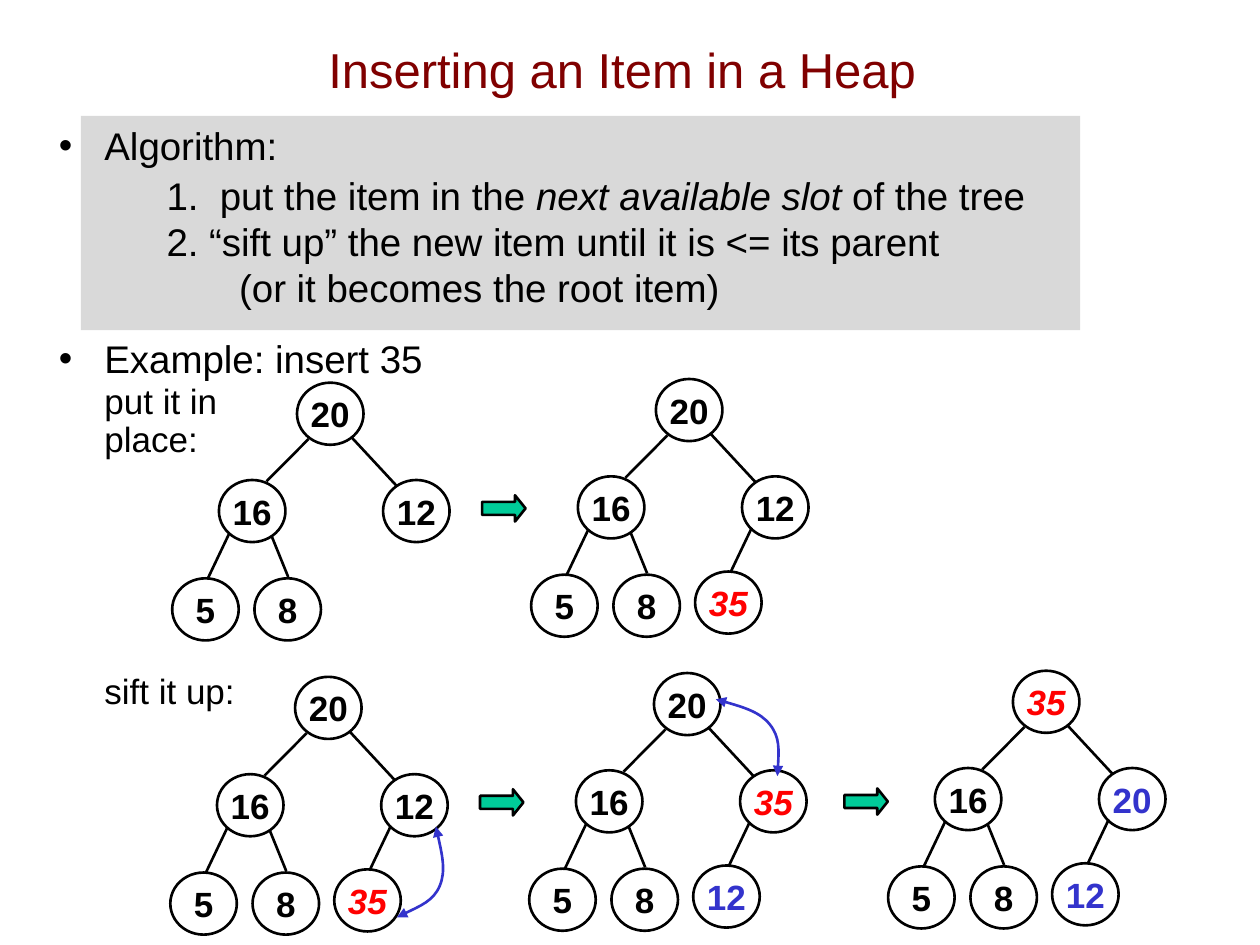
from lxml.etree import SubElement
from pptx import Presentation
from pptx.dml.color import RGBColor
from pptx.enum.shapes import MSO_CONNECTOR, MSO_SHAPE
from pptx.enum.text import MSO_ANCHOR, PP_ALIGN
from pptx.oxml.ns import qn
from pptx.util import Pt

COLORS = {
    "title": "800000", "text": "000000", "panel": "D9D9D9", "arrow": "00CC99",
    "new": "FF0000", "moved": "3333CC",
}
FONT = "Arial"


def add_run(paragraph, text, size, color="text", bold=False, italic=False):
    run = paragraph.add_run()
    run.text = text
    run.font.name = FONT
    run.font.size = Pt(size)
    run.font.bold = bold
    run.font.italic = italic
    run.font.color.rgb = RGBColor.from_string(COLORS[color])


def style_shape(shape, fill=None, line=None):
    shape.shadow.inherit = False
    if fill:
        shape.fill.solid()
        shape.fill.fore_color.rgb = RGBColor.from_string(COLORS[fill])
    else:
        shape.fill.background()
    if line:
        shape.line.color.rgb = RGBColor.from_string(COLORS[line])
        shape.line.width = Pt(1.5)
    else:
        shape.line.fill.background()


prs = Presentation()
prs.slide_width, prs.slide_height = Pt(720), Pt(540)
slide = prs.slides.add_slide(prs.slide_layouts[5])
shapes = slide.shapes

title = shapes.title
title.left, title.top, title.width, title.height = Pt(46), Pt(6), Pt(619), Pt(67)
title.text_frame.vertical_anchor = MSO_ANCHOR.MIDDLE
heading = title.text_frame.paragraphs[0]
heading.alignment = PP_ALIGN.CENTER
add_run(heading, "Inserting an Item in a Heap", 28, "title")

panel = shapes.add_shape(MSO_SHAPE.RECTANGLE, Pt(46.3), Pt(66.3), Pt(571), Pt(122.4))
style_shape(panel, "panel")
title.element.addprevious(panel.element)

# (left margin, first-line indent, space before, line spacing, size, bullet, runs)
outline = [
    (26, -26, 14, 1, 22, True, [("Algorithm:", False)]),
    (92, -30.5, 2, 1, 22, False, [("1.\tput the item in the ", False),
                                  ("next available slot ", True),
                                  ("of the tree", False)]),
    (61.5, 0, 0, 1, 22, False, [("2. “sift up” the new item until it is <= its parent", False)]),
    (103, 0, 0, 1, 22, False, [("(or it becomes the root item)", False)]),
    (26, -26, 14, 1, 22, True, [("Example: insert 35", False)]),
    (26, 0, 2, 0.9, 20, False, [("put it in\vplace:", False)]),
    (26, 0, 122, 0.9, 20, False, [("sift it up:", False)]),
]
body = shapes.add_textbox(Pt(26.6), Pt(66.3), Pt(693), Pt(442)).text_frame
body.word_wrap = True
for number, (margin, indent, before, spacing, size, bullet, runs) in enumerate(outline):
    paragraph = body.add_paragraph() if number else body.paragraphs[0]
    paragraph.space_before = Pt(before)
    paragraph.line_spacing = spacing
    properties = paragraph._p.get_or_add_pPr()
    properties.set("marL", str(Pt(margin)))
    properties.set("indent", str(Pt(indent)))
    if bullet:
        SubElement(properties, qn("a:buFont")).set("typeface", FONT)
        SubElement(properties, qn("a:buChar")).set("char", "•")
    for text, italic in runs:
        for part, piece in enumerate(text.split("\v")):
            if part:
                paragraph.add_line_break()
            add_run(paragraph, piece, size, italic=italic)

node_offsets = [(0, 0), (-44.6, 55.6), (49.2, 55.6), (-71.3, 111.8), (-24.3, 111.8), (22.4, 110)]
edge_offsets = [
    (6.6, 32.2, -17.4, 56.4), (31, 31, 57, 59), (-38.8, 86.4, -51, 112),
    (-14.5, 87.6, -5, 111), (54.8, 85, 42.6, 110.6),
]
trees = [
    (169.7, 218.7, "20 16 12 5 8", {}),
    (374.8, 216.6, "20 16 12 5 8 35", {"35": "new"}),
    (168.6, 386.8, "20 16 12 5 8 35", {"35": "new"}),
    (373.7, 384.6, "20 16 35 5 8 12", {"35": "new", "12": "moved"}),
    (578.8, 383.3, "35 16 20 5 8 12", {"35": "new", "20": "moved", "12": "moved"}),
]
for root_x, root_y, keys, highlights in trees:
    keys = keys.split()
    for key, (dx, dy) in zip(keys, node_offsets):
        node = shapes.add_shape(MSO_SHAPE.OVAL, Pt(root_x + dx), Pt(root_y + dy), Pt(38), Pt(35.5))
        style_shape(node, line="text")
        frame = node.text_frame
        frame.margin_left = frame.margin_right = frame.margin_top = frame.margin_bottom = 0
        frame.vertical_anchor = MSO_ANCHOR.MIDDLE
        frame.paragraphs[0].alignment = PP_ALIGN.CENTER
        color = highlights.get(key, "text")
        add_run(frame.paragraphs[0], key, 20, color, bold=True, italic=color == "new")
    for x1, y1, x2, y2 in edge_offsets[:len(keys) - 1]:
        edge = shapes.add_connector(MSO_CONNECTOR.STRAIGHT, Pt(root_x + x1), Pt(root_y + y1),
                                    Pt(root_x + x2), Pt(root_y + y2))
        edge.line.color.rgb = RGBColor.from_string(COLORS["text"])
        edge.line.width = Pt(1.5)
        SubElement(edge.element.spPr, qn("a:effectLst"))

for left, top in [(275.5, 283), (274.3, 451), (482.5, 450.5)]:
    step = shapes.add_shape(MSO_SHAPE.RIGHT_ARROW, Pt(left), Pt(top), Pt(24.8), Pt(15))
    step.adjustments[1] = 0.4
    style_shape(step, "arrow", "text")

swaps = [
    [(249.1, 472.3), (252, 485.3), (254.9, 497.5), (251.3, 506.2),
     (247.7, 514.8), (236.9, 519.1), (226.8, 524.2)],
    [(409, 399.6), (422, 403.2), (434.2, 406.8), (439.9, 414),
     (445.7, 421.2), (445, 432), (444.2, 443.5)],
]
for start, *points in swaps:
    builder = shapes.build_freeform(Pt(start[0]), Pt(start[1]))
    builder.add_line_segments([(Pt(x), Pt(y)) for x, y in points], close=False)
    swap = builder.convert_to_shape()
    style_shape(swap, line="moved")
    outline_path = next(swap.element.iter(qn("a:path")))
    segments = outline_path.findall(qn("a:lnTo"))
    for first in range(0, len(segments), 3):
        curve = SubElement(outline_path, qn("a:cubicBezTo"))
        for segment in segments[first:first + 3]:
            curve.append(segment[0])
            outline_path.remove(segment)
    line_xml = swap.element.spPr.find(qn("a:ln"))
    for end in ("a:headEnd", "a:tailEnd"):
        SubElement(line_xml, qn(end)).set("type", "triangle")

prs.save("out.pptx")
